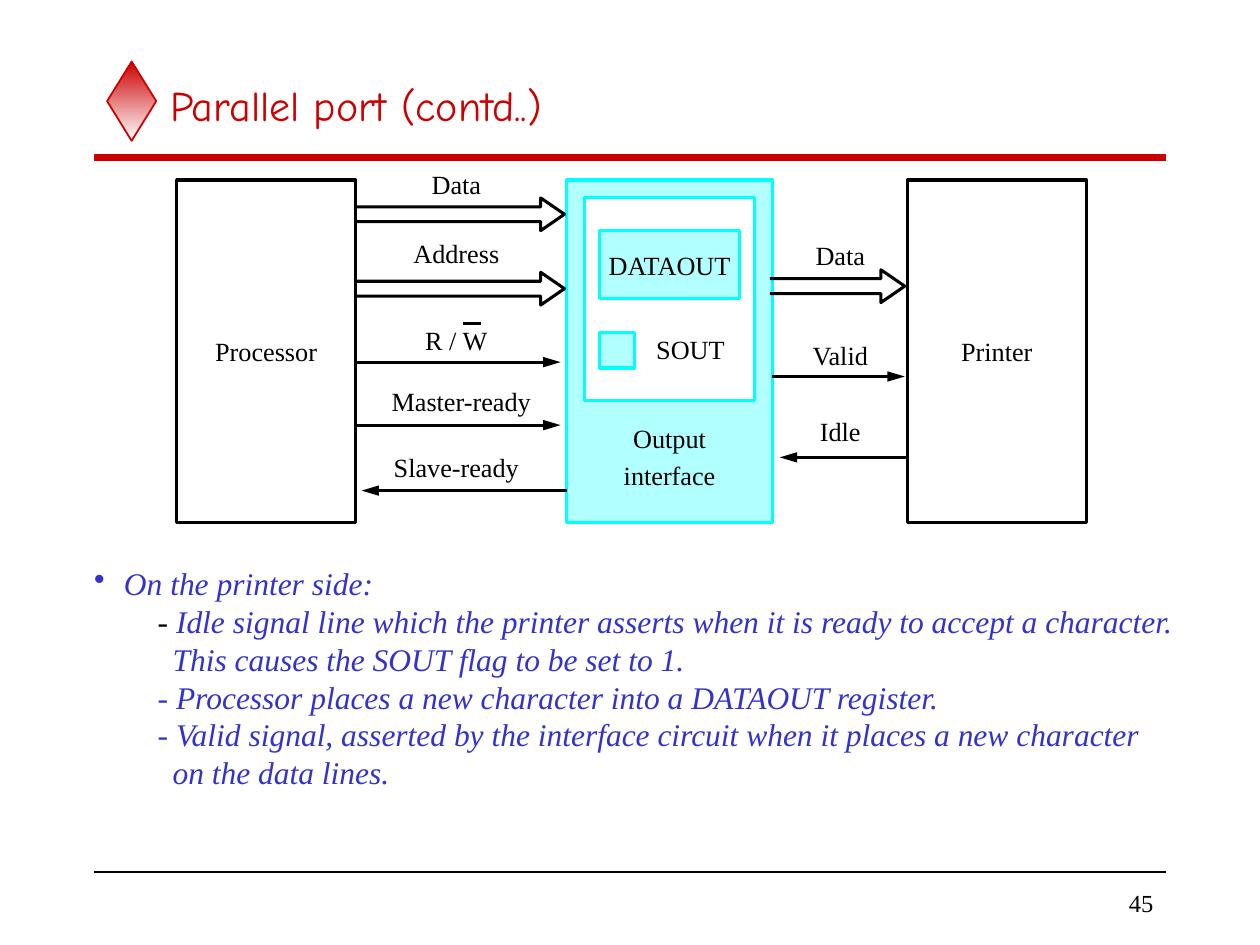
import pptx
import pptx.util
import pptx.dml.color
import pptx.enum.shapes
import pptx.enum.text
import pptx.oxml
import pptx.oxml.ns

Cm, Pt = pptx.util.Cm, pptx.util.Pt
RGBColor = pptx.dml.color.RGBColor
SHAPE = pptx.enum.shapes.MSO_SHAPE
ALIGN = pptx.enum.text.PP_ALIGN
ANCHOR = pptx.enum.text.MSO_ANCHOR

BLACK = RGBColor(0x00, 0x00, 0x00)
WHITE = RGBColor(0xFF, 0xFF, 0xFF)
RED = RGBColor(0xCC, 0x00, 0x00)
BLUE = RGBColor(0x33, 0x33, 0xCC)
CYAN = RGBColor(0x00, 0xFF, 0xFF)
PALE_CYAN = RGBColor(0xB2, 0xFF, 0xFF)

SERIF = "Times New Roman"
LINE_PT = 1.75
LABEL_PT = 15

BUS_LABEL_X, PORT_LABEL_X = 9.2, 16.94
LABELS = [
    ("Data", BUS_LABEL_X, 3.4),
    ("Address", BUS_LABEL_X, 4.78),
    ("R / W", BUS_LABEL_X, 6.53),
    ("Master-ready", BUS_LABEL_X + 0.1, 7.77),
    ("Slave-ready", BUS_LABEL_X, 9.09),
    ("Data", PORT_LABEL_X, 4.83),
    ("Valid", PORT_LABEL_X, 6.83),
    ("Idle", PORT_LABEL_X, 8.38),
    ("SOUT", 13.92, 6.71),
]
BLOCK_ARROWS = [(7.16, 11.38, 4.32), (7.16, 11.38, 5.82), (15.52, 18.24, 5.77)]
SIGNALS = [  # start x, tip x, y
    (7.16, 11.3, 7.3),
    (7.16, 11.3, 8.57),
    (11.43, 7.29, 9.89),
    (15.57, 18.24, 7.59),
    (18.29, 15.72, 9.22),
]
DASH, CONTINUED = (1.28, 0), (1.58, 0)
NOTES = [  # (left margin, first-line indent), runs as (text, colour, italic)
    ((0.6, -0.6), [("On the printer side:", BLUE, True)]),
    (DASH, [("- ", BLACK, False),
            ("Idle signal line which the printer asserts when it is ready "
             "to accept a character.", BLUE, True)]),
    (CONTINUED, [("This causes the SOUT flag to be set to 1.", BLUE, True)]),
    (DASH, [("- Processor places a new character into a DATAOUT register.",
             BLUE, True)]),
    (DASH, [("- Valid signal, asserted by the interface circuit when it "
             "places a new character", BLUE, True)]),
    (CONTINUED, [("on the data lines.", BLUE, True)]),
]


def add_run(p, text, size, color=BLACK, font=SERIF, italic=False):
    r = p.add_run()
    r.text = text
    r.font.name, r.font.size, r.font.italic = font, Pt(size), italic
    r.font.color.rgb = color


def add_text_box(s, x, y, w, h, anchor=ANCHOR.TOP, inset=0):
    tf = s.shapes.add_textbox(Cm(x), Cm(y), Cm(w), Cm(h)).text_frame
    tf.word_wrap = True
    tf.vertical_anchor = anchor
    tf.margin_left = tf.margin_right = Cm(inset)
    tf.margin_top = tf.margin_bottom = Cm(inset / 2)
    return tf


def add_label(s, text, center_x, y, width=4):
    p = add_text_box(s, center_x - width / 2, y, width, 0.64).paragraphs[0]
    p.alignment = ALIGN.CENTER
    add_run(p, text, LABEL_PT)


def add_block(s, x, y, w, h, fill, line, text=""):
    sp = s.shapes.add_shape(SHAPE.RECTANGLE, Cm(x), Cm(y), Cm(w), Cm(h))
    sp.shadow.inherit = False
    sp.fill.solid()
    sp.fill.fore_color.rgb = fill
    sp.line.color.rgb = line
    sp.line.width = Pt(LINE_PT)
    if text:
        tf = sp.text_frame
        tf.margin_left = tf.margin_right = 0
        tf.vertical_anchor = ANCHOR.MIDDLE
        tf.paragraphs[0].alignment = ALIGN.CENTER
        add_run(tf.paragraphs[0], text, LABEL_PT)


def add_line(s, x1, y1, x2, y2, width=LINE_PT, color=BLACK, arrow=False):
    sp = s.shapes.add_connector(pptx.enum.shapes.MSO_CONNECTOR.STRAIGHT,
                                Cm(x1), Cm(y1), Cm(x2), Cm(y2))
    sp.line.color.rgb = color
    sp.line.width = Pt(width)
    if arrow:
        head = pptx.oxml.parse_xml(
            '<a:tailEnd %s type="triangle" w="med" len="lg"/>'
            % pptx.oxml.ns.nsdecls("a"))
        sp.line._get_or_add_ln().append(head)
    sp._element.spPr.append(pptx.oxml.parse_xml(
        "<a:effectLst %s/>" % pptx.oxml.ns.nsdecls("a")))


def add_block_arrow(s, x, tip, y):
    """Hollow arrow to the right whose tail stays open against its block."""
    shaft, head, neck = 0.15, 0.33, tip - 0.48
    points = [(neck, y - shaft), (neck, y - head), (tip, y),
              (neck, y + head), (neck, y + shaft), (x, y + shaft)]
    fb = s.shapes.build_freeform(Cm(x), Cm(y - shaft))
    fb.add_line_segments([(Cm(px), Cm(py)) for px, py in points], close=False)
    sp = fb.convert_to_shape()
    sp.shadow.inherit = False
    sp.fill.background()
    sp.line.color.rgb = BLACK
    sp.line.width = Pt(LINE_PT)


def add_diamond(s):
    sp = s.shapes.add_shape(SHAPE.DIAMOND, Cm(2.16), Cm(1.24), Cm(0.99), Cm(1.6))
    sp.shadow.inherit = False
    sp.fill.gradient()
    sp.fill.gradient_angle = 270
    for stop, color in zip(sp.fill.gradient_stops, (RED, WHITE)):
        stop.color.rgb = color
    sp.line.color.rgb = RED
    sp.line.width = Pt(1)


def add_frame(s):
    """Title, rules and page number."""
    add_diamond(s)
    add_line(s, 1.9, 3.18, 23.5, 3.18, 4, RED)
    add_line(s, 1.9, 17.58, 23.5, 17.58, 1)
    tf = add_text_box(s, 3.18, 1.27, 20.32, 1.7, ANCHOR.MIDDLE, 0.25)
    add_run(tf.paragraphs[0], "Parallel port (contd..)", 24, RED, "Comic Neue")
    tf = add_text_box(s, 19.89, 17.78, 3.61, 0.84, ANCHOR.MIDDLE, 0.25)
    tf.paragraphs[0].alignment = ALIGN.RIGHT
    add_run(tf.paragraphs[0], "45", 14)


def add_diagram(s):
    add_block(s, 3.56, 3.63, 3.61, 6.91, WHITE, BLACK, "Processor")
    add_block(s, 18.29, 3.63, 3.61, 6.91, WHITE, BLACK, "Printer")
    add_block(s, 11.43, 3.63, 4.14, 6.91, PALE_CYAN, CYAN)
    add_block(s, 11.79, 3.99, 3.43, 4.09, WHITE, CYAN)
    add_block(s, 12.09, 4.65, 2.82, 1.37, PALE_CYAN, CYAN, "DATAOUT")
    add_block(s, 12.09, 6.71, 0.71, 0.71, PALE_CYAN, CYAN)
    for x, tip, y in BLOCK_ARROWS:
        add_block_arrow(s, x, tip, y)
    for x, tip, y in SIGNALS:
        add_line(s, x, y, tip, y, arrow=True)
    for text, x, y in LABELS:
        add_label(s, text, x, y)
    add_line(s, 9.34, 6.53, 9.7, 6.53)  # bar over W
    tf = add_text_box(s, 11.43, 8.51, 4.14, 1.4)
    for i, text in enumerate(("Output", "interface")):
        p = tf.add_paragraph() if i else tf.paragraphs[0]
        p.alignment = ALIGN.CENTER
        p.space_before = Pt(3 * i)
        add_run(p, text, LABEL_PT)


def add_bullet(p):
    ns = pptx.oxml.ns.nsdecls("a")
    for xml in ('<a:buClr %s><a:srgbClr val="%s"/></a:buClr>' % (ns, BLUE),
                '<a:buChar %s char="•"/>' % ns):
        p._p.get_or_add_pPr().append(pptx.oxml.parse_xml(xml))


def add_notes_text(s):
    tf = add_text_box(s, 1.65, 11.25, 23, 4.83, inset=0.25)
    for i, ((margin, indent), runs) in enumerate(NOTES):
        p = tf.add_paragraph() if i else tf.paragraphs[0]
        pPr = p._p.get_or_add_pPr()
        pPr.set("marL", str(Cm(margin)))
        pPr.set("indent", str(Cm(indent)))
        if indent:
            add_bullet(p)
        for text, color, italic in runs:
            add_run(p, text, 18, color, italic=italic)


def main():
    prs = pptx.Presentation()
    prs.slide_width, prs.slide_height = Cm(25.4), Cm(19.05)
    s = prs.slides.add_slide(prs.slide_layouts[6])
    add_frame(s)
    add_diagram(s)
    add_notes_text(s)
    prs.save("out.pptx")


if __name__ == "__main__":
    main()
